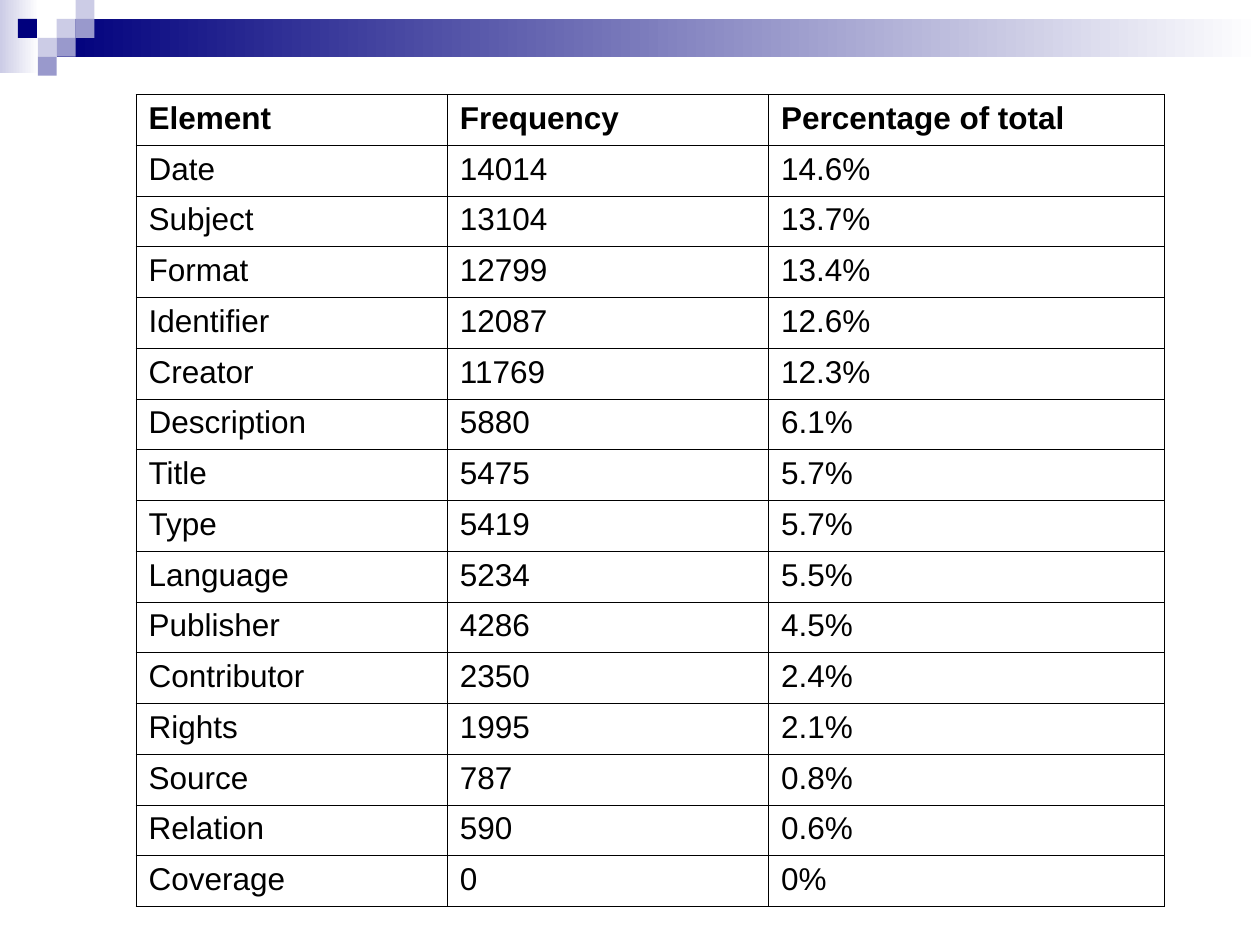
from lxml import etree
from pptx import Presentation
from pptx import util as u
from pptx.dml.color import RGBColor
from pptx.enum import shapes
from pptx.oxml.ns import qn

COLOURS = {"navy": "00007D", "mid": "9999CC", "pale": "CCCCE6",
           "white": "FFFFFF", "black": "000000"}
UNIT = 0.15  # side of one mosaic square, in inches
COLUMN_WIDTHS = (2.47, 2.55, 3.14)
TABLE_LEFT, TABLE_TOP, TABLE_HEIGHT = 1.08, 0.75, 6.45

# Column and row on the mosaic grid, then colour
MOSAIC = [(3, 1, "pale"), (4, 0, "pale"), (4, 1, "mid"), (2, 2, "pale"),
          (0.95, 1, "navy"), (3, 2, "mid"), (2, 3, "mid")]

RECORDS = [
    ("Element", "Frequency", "Percentage of total"),
    ("Date", "14014", "14.6%"),
    ("Subject", "13104", "13.7%"),
    ("Format", "12799", "13.4%"),
    ("Identifier", "12087", "12.6%"),
    ("Creator", "11769", "12.3%"),
    ("Description", "5880", "6.1%"),
    ("Title", "5475", "5.7%"),
    ("Type", "5419", "5.7%"),
    ("Language", "5234", "5.5%"),
    ("Publisher", "4286", "4.5%"),
    ("Contributor", "2350", "2.4%"),
    ("Rights", "1995", "2.1%"),
    ("Source", "787", "0.8%"),
    ("Relation", "590", "0.6%"),
    ("Coverage", "0", "0%"),
]


def colour(name):
    return RGBColor.from_string(COLOURS[name])


def add_block(page, left, top, width, height, *names):
    """Add a borderless rectangle; two colour names make a gradient, left to right."""
    block = page.shapes.add_shape(shapes.MSO_SHAPE.RECTANGLE,
                                  *map(u.Inches, (left, top, width, height)))
    block.shadow.inherit = False
    block.line.fill.background()
    if len(names) == 1:
        block.fill.solid()
        block.fill.fore_color.rgb = colour(names[0])
        return
    block.fill.gradient()
    block.fill.gradient_angle = 0
    for stop, name in zip(block.fill.gradient_stops, names):
        stop.color.rgb = colour(name)


def write(cell, words, size=18, bold=False, font="Arial", ink="black"):
    span = cell.text_frame.paragraphs[0].add_run()
    span.text = words
    span.font.size = u.Pt(size)
    span.font.bold = bold
    span.font.name = font
    span.font.color.rgb = colour(ink)


def set_borders(cell, width=0.45, ink="black"):
    properties = cell._tc.get_or_add_tcPr()
    for index, side in enumerate(("lnL", "lnR", "lnT", "lnB")):
        line = etree.Element(qn("a:" + side), w=str(u.Pt(width)))
        fill = etree.SubElement(line, qn("a:solidFill"))
        etree.SubElement(fill, qn("a:srgbClr"), val=COLOURS[ink])
        properties.insert(index, line)


def add_records(page):
    frame = page.shapes.add_table(
        len(RECORDS), len(COLUMN_WIDTHS), u.Inches(TABLE_LEFT), u.Inches(TABLE_TOP),
        u.Inches(sum(COLUMN_WIDTHS)), u.Inches(TABLE_HEIGHT))
    table = frame.table
    table.horz_banding = False
    for column, width in zip(table.columns, COLUMN_WIDTHS):
        column.width = u.Inches(width)
    for number, record in enumerate(RECORDS):
        table.rows[number].height = u.Inches(TABLE_HEIGHT / len(RECORDS))
        for cell, words in zip(table.rows[number].cells, record):
            cell.fill.background()
            set_borders(cell)
            write(cell, words, bold=number == 0)


def main():
    deck = Presentation()
    deck.slide_width, deck.slide_height = u.Inches(10), u.Inches(7.5)
    page = deck.slides.add_slide(deck.slide_layouts[6])

    # Header bands
    add_block(page, 0, 0, 0.31, 0.58, "pale", "white")
    add_block(page, 3 * UNIT, UNIT, 10 - 3 * UNIT, 2 * UNIT, "navy", "white")

    # Mosaic squares
    for column, row, name in MOSAIC:
        add_block(page, column * UNIT, row * UNIT, UNIT, UNIT, name)

    # Frequency table
    add_records(page)
    deck.save("out.pptx")


if __name__ == "__main__":
    main()
